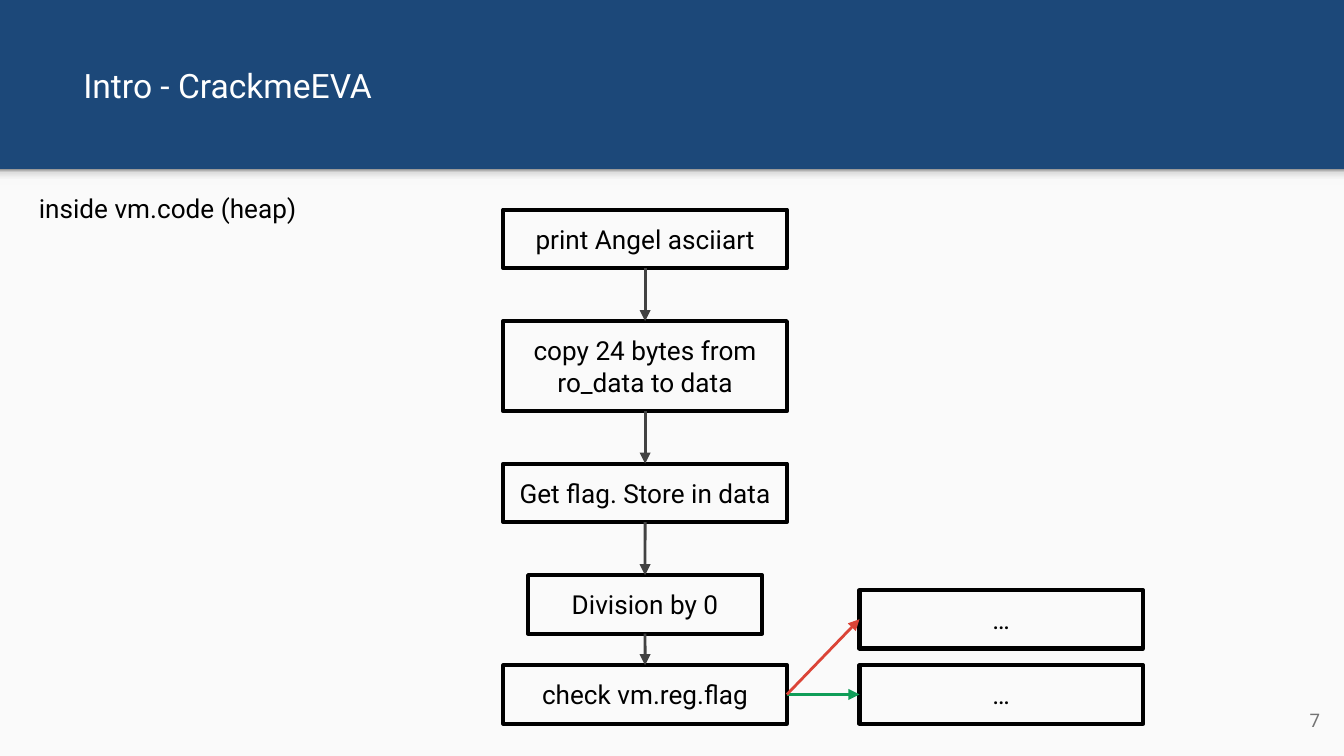
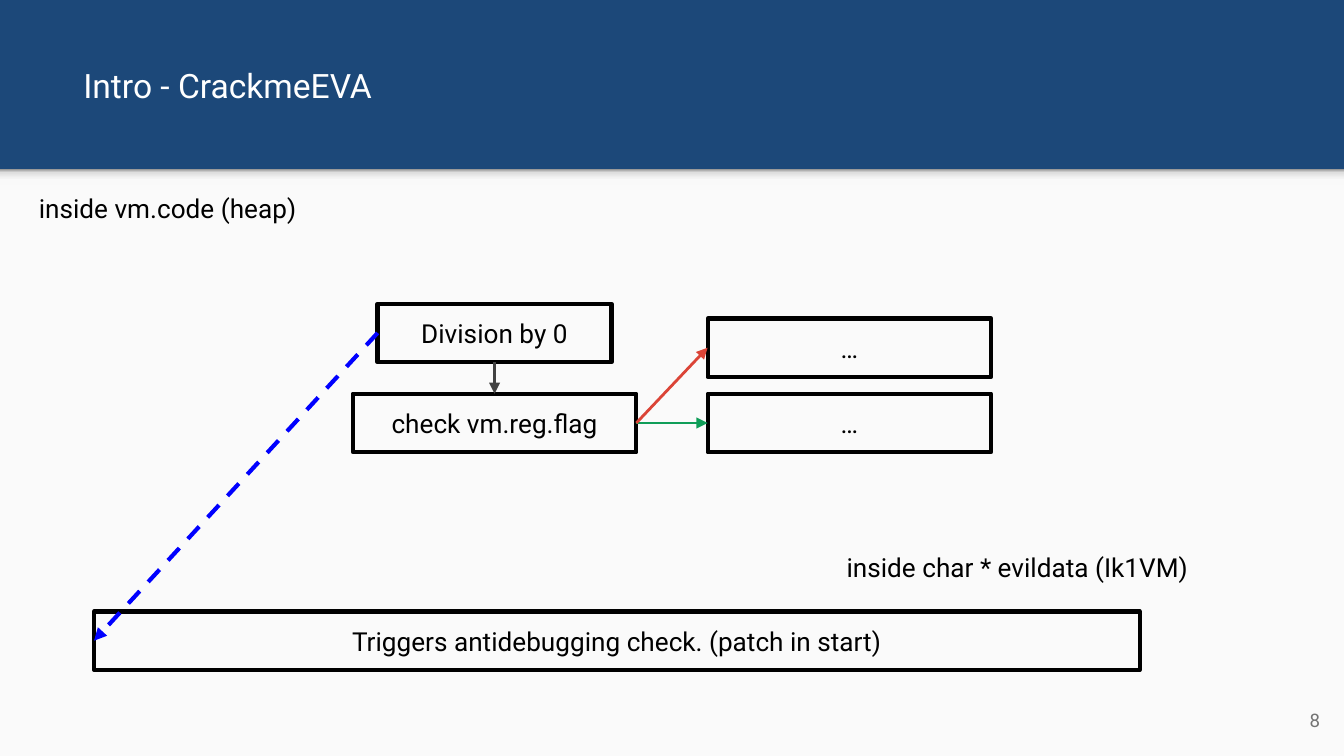
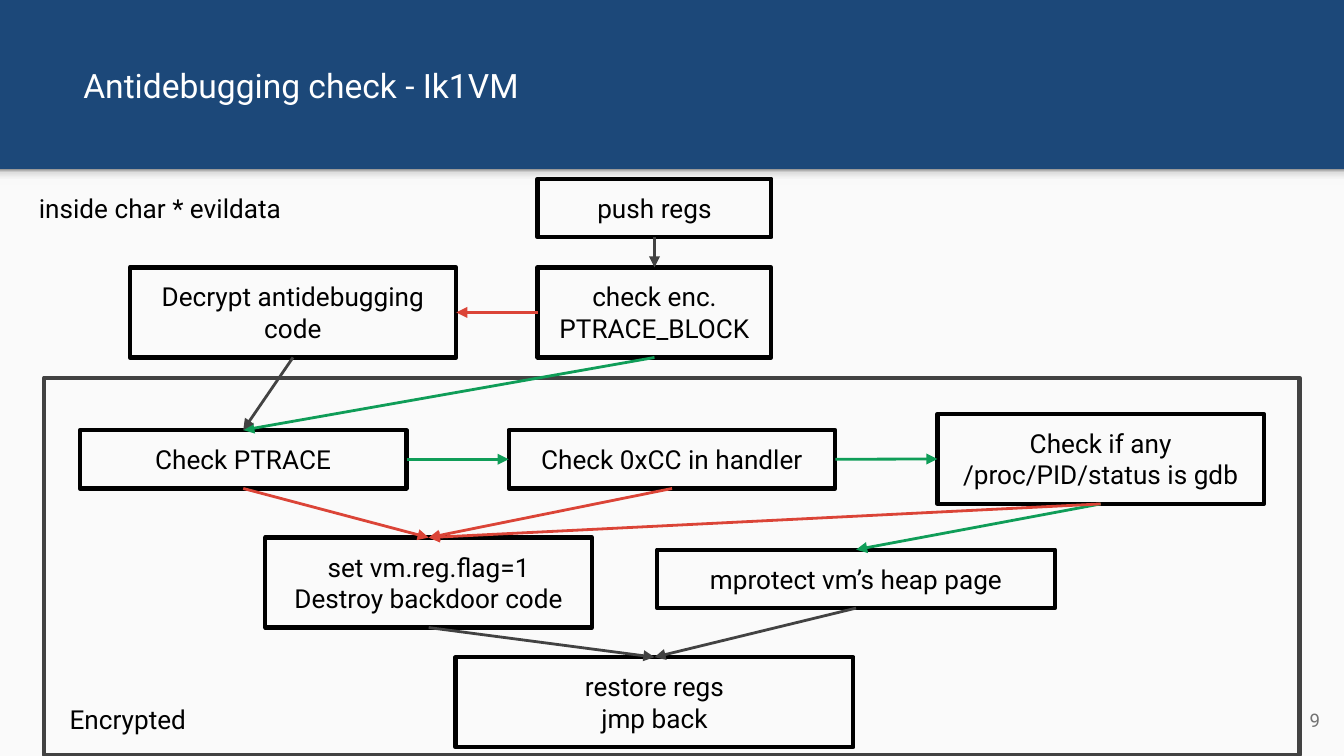
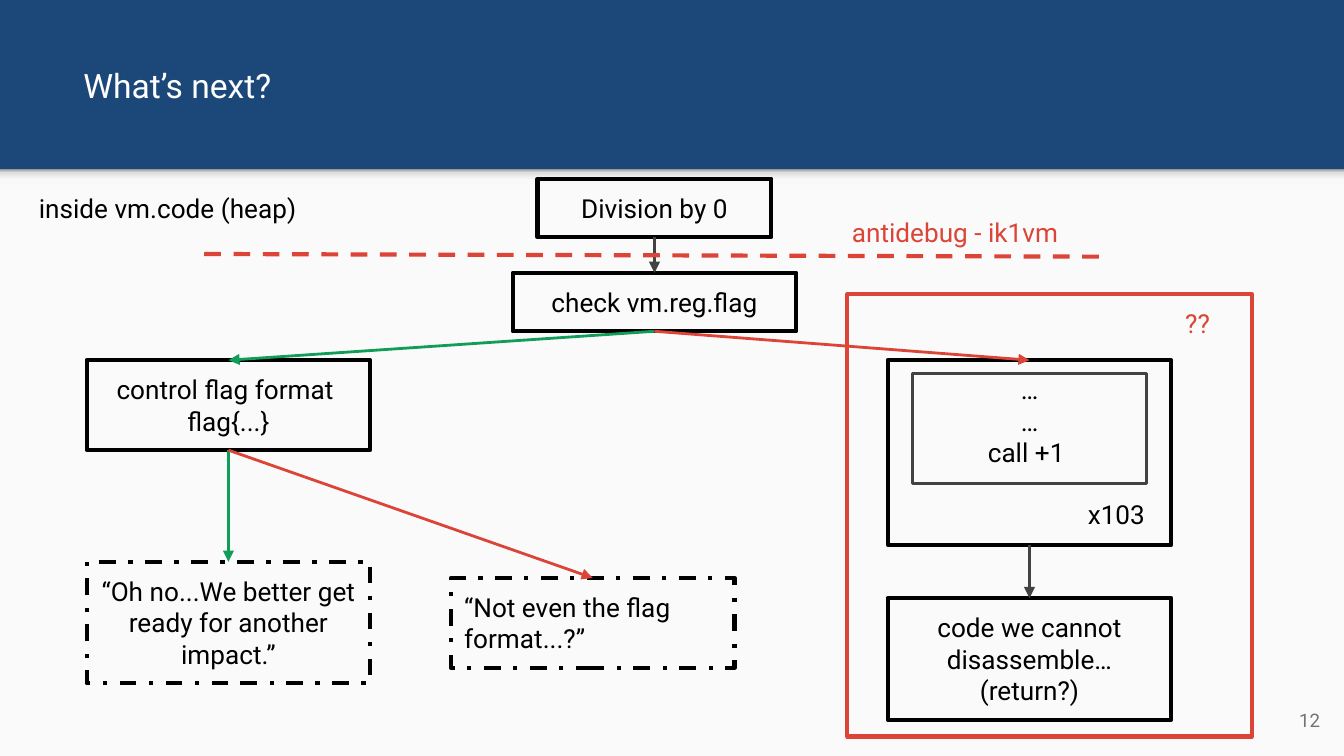
"""Build four flowchart slides about a crackme's control flow."""
from dataclasses import dataclass, field

from lxml.etree import SubElement
from pptx import Presentation
from pptx.dml.color import RGBColor
from pptx.enum.dml import MSO_LINE
from pptx.enum.shapes import MSO_CONNECTOR, MSO_SHAPE
from pptx.enum.text import MSO_ANCHOR, MSO_AUTO_SIZE, PP_ALIGN
from pptx.oxml import parse_xml
from pptx.oxml.ns import nsdecls, qn
from pptx.util import Inches, Pt

FONT = "Roboto"
NAVY, PAPER, WHITE, BLACK = "1C4879", "FAFAFA", "FFFFFF", "000000"
GRAY, GREEN, RED, BLUE, NUMBER_GRAY = "424242", "0F9D58", "DB4437", "0000FF", "737373"
SHADE_STOPS = ((0, "F9F9F9"), (36, "F9F9F9"), (80, "DEDEDE"), (100, "999999"))
TOP, LEFT, BOTTOM, RIGHT = range(4)
NARROW, MEDIUM, WIDE, EXTRA_WIDE = 1.74, 2.11, 2.43, 2.96
DASH, DASH_DOT = MSO_LINE.DASH, MSO_LINE.DASH_DOT


@dataclass
class Box:
    center: float
    top: float
    width: float
    text: str = ""
    lines: int = 1
    height: float | None = None
    color: str = BLACK
    weight: float = 2.25
    dash: MSO_LINE | None = None
    align: PP_ALIGN = PP_ALIGN.CENTER


@dataclass
class Label:
    left: float
    top: float
    width: float
    text: str
    color: str = BLACK


@dataclass
class Link:
    source: str
    source_side: int
    target: str
    target_side: int
    color: str = GRAY
    weight: float = 1.5
    dash: MSO_LINE | None = None


@dataclass
class Divider:
    start: tuple[float, float]
    end: tuple[float, float]


@dataclass
class Flow:
    title: str
    number: int
    boxes: dict[str, Box]
    links: list[Link]
    labels: list[Label]
    dividers: list[Divider] = field(default_factory=list)


def heading(text: str) -> Label:
    return Label(0.19, 1.33, 2.28, text)


FLOWS = [
    Flow(
        "Intro - CrackmeEVA", 7,
        {
            "print": Box(4.8, 1.56, MEDIUM, "print Angel asciiart"),
            "copy": Box(4.8, 2.39, MEDIUM, "copy 24 bytes from ro_data to data", 2),
            "store": Box(4.8, 3.45, MEDIUM, "Get flag. Store in data"),
            "division": Box(4.8, 4.28, NARROW, "Division by 0"),
            "check": Box(4.8, 4.95, MEDIUM, "check vm.reg.flag"),
            "passed": Box(7.45, 4.95, MEDIUM, "…"),
            "failed": Box(7.45, 4.39, MEDIUM, "…"),
        },
        [
            Link("print", BOTTOM, "copy", TOP),
            Link("copy", BOTTOM, "store", TOP),
            Link("store", BOTTOM, "division", TOP),
            Link("division", BOTTOM, "check", TOP),
            Link("check", RIGHT, "passed", LEFT, GREEN),
            Link("check", RIGHT, "failed", LEFT, RED),
        ],
        [heading("inside vm.code (heap)")],
    ),
    Flow(
        "Intro - CrackmeEVA", 8,
        {
            "division": Box(3.68, 2.26, NARROW, "Division by 0"),
            "check": Box(3.68, 2.93, MEDIUM, "check vm.reg.flag"),
            "passed": Box(6.32, 2.93, MEDIUM, "…"),
            "failed": Box(6.32, 2.37, MEDIUM, "…"),
            "trigger": Box(4.59, 4.55, 7.78, "Triggers antidebugging check. (patch in start)"),
        },
        [
            Link("division", BOTTOM, "check", TOP),
            Link("check", RIGHT, "passed", LEFT, GREEN),
            Link("check", RIGHT, "failed", LEFT, RED),
            Link("division", LEFT, "trigger", LEFT, BLUE, 2.25, DASH),
        ],
        [
            heading("inside vm.code (heap)"),
            Label(6.2, 4, 3.02, "inside char * evildata (Ik1VM)"),
        ],
    ),
    Flow(
        "Antidebugging check - Ik1VM", 9,
        {
            "push": Box(4.87, 1.33, NARROW, "push regs"),
            "block": Box(4.87, 1.99, NARROW, "check enc. PTRACE_BLOCK", 2),
            "decrypt": Box(2.18, 1.99, WIDE, "Decrypt antidebugging code", 2),
            "ptrace": Box(1.81, 3.2, WIDE, "Check PTRACE"),
            "handler": Box(5, 3.2, WIDE, "Check 0xCC in handler"),
            "status": Box(8.19, 3.08, WIDE, "Check if any /proc/PID/status is gdb", 2),
            "destroy": Box(3.19, 4, WIDE, "set vm.reg.flag=1\nDestroy backdoor code", 2),
            "protect": Box(6.37, 4.09, EXTRA_WIDE, "mprotect vm’s heap page"),
            "restore": Box(4.87, 4.89, EXTRA_WIDE, "restore regs\njmp back", 2),
            "encrypted": Box(5, 2.81, 9.34, height=2.81, color=GRAY),
        },
        [
            Link("push", BOTTOM, "block", TOP),
            Link("block", BOTTOM, "ptrace", TOP, GREEN),
            Link("block", LEFT, "decrypt", RIGHT, RED),
            Link("decrypt", BOTTOM, "ptrace", TOP),
            Link("ptrace", RIGHT, "handler", LEFT, GREEN),
            Link("handler", RIGHT, "status", LEFT, GREEN),
            Link("status", BOTTOM, "protect", TOP, GREEN),
            Link("destroy", BOTTOM, "restore", TOP),
            Link("protect", BOTTOM, "restore", TOP),
            Link("ptrace", BOTTOM, "destroy", TOP, RED),
            Link("handler", BOTTOM, "destroy", TOP, RED),
            Link("status", BOTTOM, "destroy", TOP, RED),
        ],
        [
            Label(0.42, 5.13, 1.94, "Encrypted"),
            heading("inside char * evildata"),
        ],
    ),
    Flow(
        "What’s next?", 12,
        {
            "division": Box(4.87, 1.33, NARROW, "Division by 0"),
            "check": Box(4.87, 2.03, MEDIUM, "check vm.reg.flag"),
            "format": Box(1.7, 2.68, MEDIUM, "control flag format \nflag{...}", 2),
            "wrong": Box(4.41, 4.3, MEDIUM, "“Not even the flag format...?”", 2,
                         dash=DASH_DOT, align=PP_ALIGN.LEFT),
            "impact": Box(1.7, 4.18, MEDIUM, "“Oh no...We better get ready for another impact.”", 3,
                          dash=DASH_DOT),
            "unknown": Box(7.66, 4.45, MEDIUM, "code we cannot disassemble…\n(return?)", 3),
            "calls": Box(7.66, 2.68, MEDIUM, "…\n…\ncall +1 \nx103", 5),
            "repeated": Box(7.66, 2.78, NARROW, height=0.82, color=GRAY, weight=1.5),
            "mystery": Box(7.81, 2.19, 3.01, height=3.29, color=RED),
        },
        [
            Link("division", BOTTOM, "check", TOP),
            Link("check", BOTTOM, "format", TOP, GREEN),
            Link("format", BOTTOM, "impact", TOP, GREEN),
            Link("check", BOTTOM, "calls", TOP, RED),
            Link("calls", BOTTOM, "unknown", TOP),
            Link("format", BOTTOM, "wrong", TOP, RED),
        ],
        [
            Label(6.24, 1.51, 2.28, "antidebug - ik1vm", RED),
            Label(8.72, 2.19, 0.55, "??", RED),
            heading("inside vm.code (heap)"),
        ],
        [Divider((1.52, 1.89), (8.22, 1.91))],
    ),
]


def paint(color_format, color: str) -> None:
    color_format.rgb = RGBColor.from_string(color)


def fill_solid(fill, color: str) -> None:
    fill.solid()
    paint(fill.fore_color, color)


def write(shape, text: str, size: float, color: str, align=PP_ALIGN.LEFT, anchor=MSO_ANCHOR.TOP) -> None:
    frame = shape.text_frame
    frame.text = text
    frame.word_wrap = True
    frame.vertical_anchor = anchor
    frame.margin_left = frame.margin_right = frame.margin_top = frame.margin_bottom = Inches(0.1)
    for paragraph in frame.paragraphs:
        paragraph.alignment = align
        for run in paragraph.runs:
            run.font.size = Pt(size)
            run.font.name = FONT
            paint(run.font.color, color)


def style_line(line, color: str, weight: float, dash: MSO_LINE | None) -> None:
    fill_solid(line.fill, color)
    line.width = Pt(weight)
    if dash is not None:
        line.dash_style = dash


def row_height(lines: int) -> float:
    return 0.2 + 0.47 * lines / 2


def add_rectangle(slide, left: float, top: float, width: float, height: float):
    shape = slide.shapes.add_shape(
        MSO_SHAPE.RECTANGLE, Inches(left), Inches(top), Inches(width), Inches(height))
    shape.shadow.inherit = False
    return shape


def add_box(slide, box: Box):
    height = box.height or row_height(box.lines)
    shape = add_rectangle(slide, box.center - box.width / 2, box.top, box.width, height)
    shape.fill.background()
    style_line(shape.line, box.color, box.weight, box.dash)
    if box.text:
        write(shape, box.text, 14, BLACK, box.align)
        shape.text_frame.auto_size = MSO_AUTO_SIZE.SHAPE_TO_FIT_TEXT
    return shape


def add_label(slide, label: Label) -> None:
    shape = slide.shapes.add_textbox(
        Inches(label.left), Inches(label.top), Inches(label.width), Inches(row_height(1)))
    write(shape, label.text, 14, label.color)
    shape.text_frame.auto_size = MSO_AUTO_SIZE.SHAPE_TO_FIT_TEXT


def add_line(slide, start: tuple[float, float], end: tuple[float, float],
             color: str, weight: float, dash: MSO_LINE | None):
    points = [Inches(value) for value in (*start, *end)]
    connector = slide.shapes.add_connector(MSO_CONNECTOR.STRAIGHT, *points)
    style_line(connector.line, color, weight, dash)
    SubElement(connector.element.spPr, qn("a:effectLst"))
    return connector


def add_link(slide, link: Link, shapes: dict) -> None:
    connector = add_line(slide, (0, 0), (1, 1), link.color, link.weight, link.dash)
    connector.begin_connect(shapes[link.source], link.source_side)
    connector.end_connect(shapes[link.target], link.target_side)
    outline = connector.element.spPr.find(qn("a:ln"))
    SubElement(outline, qn("a:tailEnd"), type="triangle")


def place_repeat_count(shape) -> None:
    paragraph = shape.text_frame.paragraphs[-1]
    paragraph.alignment = PP_ALIGN.LEFT
    paragraph.space_before = Pt(16.4)
    paragraph._p.get_or_add_pPr().set("marL", str(Inches(1.39)))


def prepare_layout(layout, slide) -> None:
    fill_solid(layout.background.fill, NAVY)
    for placeholder in list(layout.placeholders):
        if placeholder.placeholder_format.idx != 0:
            placeholder.element.getparent().remove(placeholder.element)
    panel = add_rectangle(slide, 0, 1.27, 10, 4.36)
    fill_solid(panel.fill, PAPER)
    shade = add_rectangle(slide, 0, 1.26, 10, 0.12)
    stops = "".join(
        f'<a:gs pos="{position * 1000}"><a:srgbClr val="{color}"/></a:gs>'
        for position, color in SHADE_STOPS)
    shade.element.spPr.insert(2, parse_xml(
        f'<a:gradFill {nsdecls("a")}><a:gsLst>{stops}</a:gsLst>'
        '<a:lin ang="16200000" scaled="0"/></a:gradFill>'))
    for index, shape in enumerate((panel, shade), start=2):
        shape.line.fill.background()
        layout.shapes.element.insert(index, shape.element)


def fill_slide(slide, flow: Flow) -> None:
    title = slide.shapes.title
    title.left, title.top, title.width, title.height = (
        Inches(value) for value in (0.52, 0, 7.78, 1.26))
    write(title, flow.title, 18, WHITE, anchor=MSO_ANCHOR.MIDDLE)
    number = slide.shapes.add_textbox(Inches(9.32), Inches(5.14), Inches(0.6), Inches(0.43))
    write(number, str(flow.number), 10, NUMBER_GRAY, PP_ALIGN.RIGHT, MSO_ANCHOR.MIDDLE)
    shapes = {name: add_box(slide, box) for name, box in flow.boxes.items()}
    if "calls" in shapes:
        place_repeat_count(shapes["calls"])
    for link in flow.links:
        add_link(slide, link, shapes)
    for divider in flow.dividers:
        add_line(slide, divider.start, divider.end, RED, 2.25, DASH)
    for label in flow.labels:
        add_label(slide, label)


def main() -> None:
    presentation = Presentation()
    presentation.slide_width = Inches(10)
    presentation.slide_height = Inches(10 * 9 / 16)
    layout = presentation.slide_layouts[5]
    slides = [presentation.slides.add_slide(layout) for _ in FLOWS]
    prepare_layout(layout, slides[0])
    for slide, flow in zip(slides, FLOWS):
        fill_slide(slide, flow)
    presentation.save("out.pptx")


if __name__ == "__main__":
    main()
